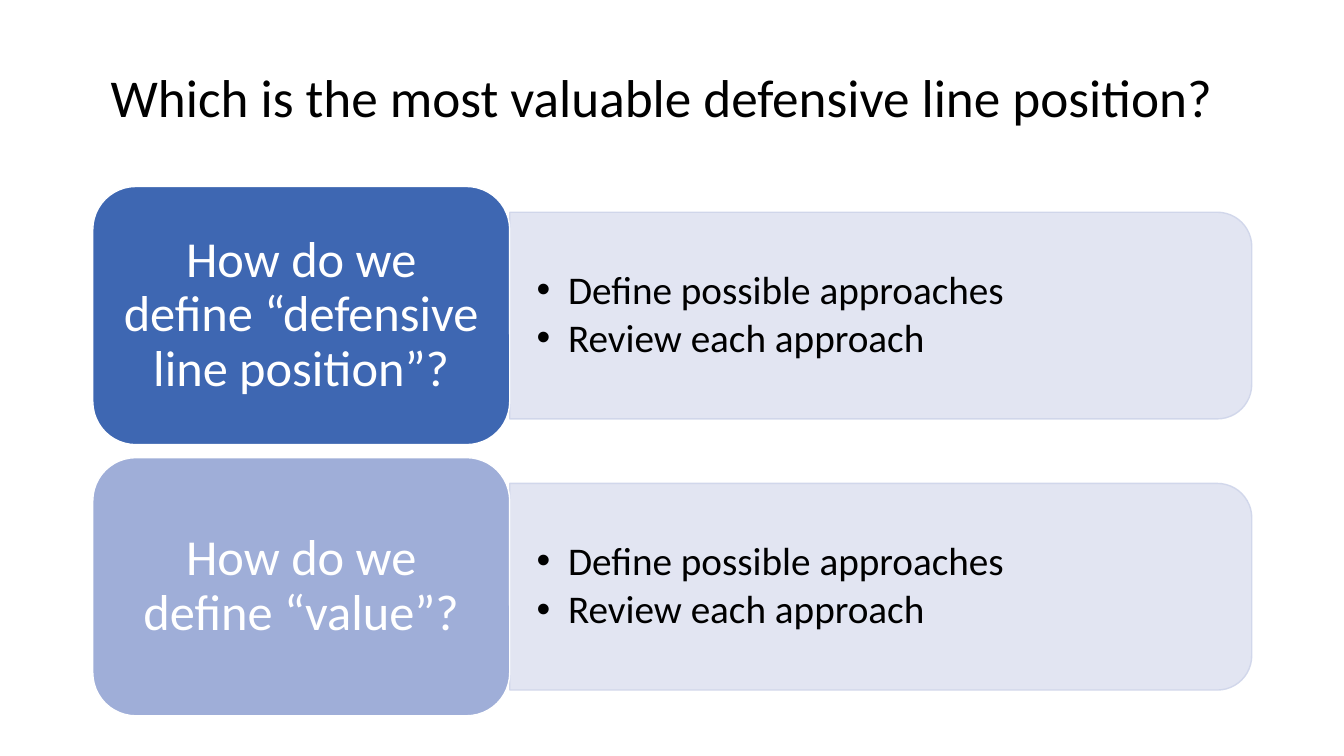
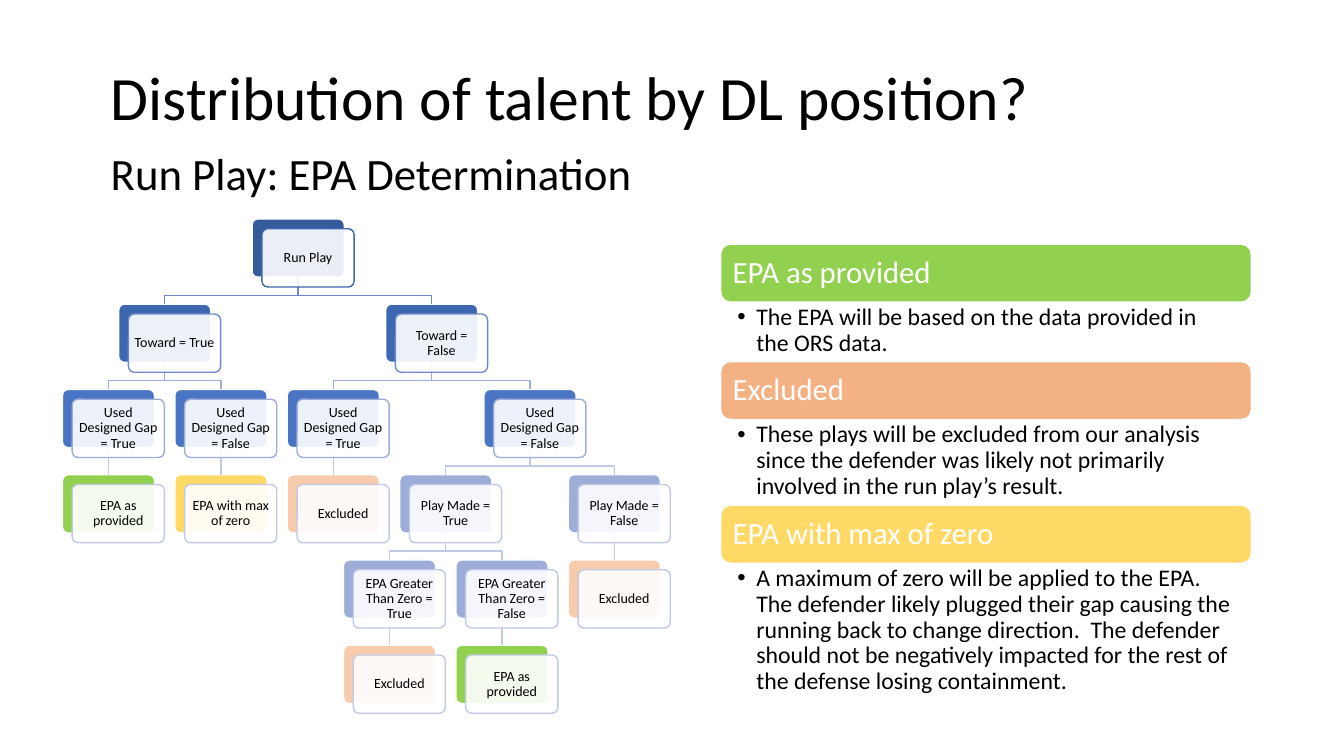
from dataclasses import dataclass
from typing import Any, Iterator, NamedTuple

from lxml import etree
from pptx import Presentation
from pptx.dml.color import RGBColor
from pptx.enum import shapes, text
from pptx.oxml import ns
from pptx.util import Pt

BLACK = RGBColor(0x00, 0x00, 0x00)
WHITE = RGBColor(0xFF, 0xFF, 0xFF)
NAVY = RGBColor(0x36, 0x5B, 0x9D)
BLUE = RGBColor(0x3E, 0x67, 0xB2)
MID_BLUE = RGBColor(0x4A, 0x75, 0xC5)
SKY = RGBColor(0x6D, 0x89, 0xCB)
PERIWINKLE = RGBColor(0x9F, 0xAE, 0xD8)
LAVENDER = RGBColor(0x9E, 0xAD, 0xD8)
MIST = RGBColor(0xC1, 0xC9, 0xE4)
PALE = RGBColor(0xCF, 0xD5, 0xEA)
GREEN = RGBColor(0x92, 0xD0, 0x50)
YELLOW = RGBColor(0xFF, 0xD9, 0x66)
PEACH = RGBColor(0xF8, 0xCB, 0xAD)
ORANGE = RGBColor(0xF4, 0xB1, 0x83)

FONT = "Calibri"
SHAPE = shapes.MSO_SHAPE
MIDDLE, TOP = text.MSO_ANCHOR.MIDDLE, text.MSO_ANCHOR.TOP
LEFT, CENTER = text.PP_ALIGN.LEFT, text.PP_ALIGN.CENTER

LEVEL_FILLS = (NAVY, BLUE, MID_BLUE, LAVENDER, LAVENDER, LAVENDER)
LEVEL_LINES = (BLUE, SKY, LAVENDER, MIST, MIST, MIST)
TREE_LEFT, TREE_TOP = 44.6, 156.4
COL_PITCH, ROW_PITCH = 80.3, 60.9
NODE_W, NODE_H = 65.8, 41.6
CARD_SHIFT = 7
ELBOW_DROP = 13


class Box(NamedTuple):
    x: float
    y: float
    w: float
    h: float

    def lengths(self) -> tuple:
        return tuple(Pt(v) for v in self)


@dataclass(frozen=True)
class TextStyle:
    size: float
    color: RGBColor = BLACK
    align: Any = LEFT
    anchor: Any = MIDDLE
    inset: tuple = (7.2, 3.6)
    spacing: float = 0.9
    after: float = 0
    indent: float = 0
    wrap: bool = True


class Question(NamedTuple):
    label: str
    fill: RGBColor


class Outcome(NamedTuple):
    label: str
    fill: RGBColor
    detail: str
    height: float


@dataclass
class Node:
    label: str
    children: tuple = ()
    leaf_col: float = 0
    fill: RGBColor | None = None
    depth: int = 0
    back: Any = None

    @property
    def col(self) -> float:
        if not self.children:
            return self.leaf_col
        return (self.children[0].col + self.children[-1].col) / 2

    @property
    def box(self) -> Box:
        return Box(TREE_LEFT + COL_PITCH * self.col,
                   TREE_TOP + ROW_PITCH * self.depth, NODE_W, NODE_H)

    def walk(self, depth: int = 0) -> Iterator["Node"]:
        self.depth = depth
        yield self
        for child in self.children:
            yield from child.walk(depth + 1)


TITLE_BOX = Box(72, 36, 828, 72)
SUBTITLE = TextStyle(32, anchor=TOP, spacing=1.0, wrap=False)
QUESTION = TextStyle(36, WHITE, CENTER, inset=(10.5, 5))
APPROACH = TextStyle(28, inset=(19.2, 9.6), after=4.2, indent=22.5)
NODE = TextStyle(10, align=CENTER, inset=(2.8, 2.8))
OUTCOME = TextStyle(22, WHITE, inset=(6.6, 6.6))
DETAIL = TextStyle(17, anchor=TOP, inset=(12, 2), indent=13.5)

QUESTIONS = (
    Question("How do we define “defensive line position”?", BLUE),
    Question("How do we define “value”?", PERIWINKLE),
)
APPROACHES = ("Define possible approaches", "Review each approach")

OUTCOMES = (
    Outcome("EPA as provided", GREEN,
            "The EPA will be based on the data provided in the ORS data.", 42.5),
    Outcome("Excluded", ORANGE,
            "These plays will be excluded from our analysis since the defender was "
            "likely not primarily involved in the run play’s result.", 61.2),
    Outcome("EPA with max of zero", YELLOW,
            "A maximum of zero will be applied to the EPA.  The defender likely "
            "plugged their gap causing the running back to change direction.  The "
            "defender should not be negatively impacted for the rest of the defense "
            "losing containment.", 101),
)


def provided(col: float) -> Node:
    return Node("EPA as provided", leaf_col=col, fill=GREEN)


def excluded(col: float) -> Node:
    return Node("Excluded", leaf_col=col, fill=PEACH)


TREE = Node("Run Play", (
    Node("Toward = True", (
        Node("Used Designed Gap = True", (provided(0),)),
        Node("Used Designed Gap = False",
             (Node("EPA with max of zero", leaf_col=1, fill=YELLOW),)),
    )),
    Node("Toward = False", (
        Node("Used Designed Gap = True", (excluded(2),)),
        Node("Used Designed Gap = False", (
            Node("Play Made = True", (
                Node("EPA Greater Than Zero = True", (excluded(2.5),)),
                Node("EPA Greater Than Zero = False", (provided(3.5),)),
            )),
            Node("Play Made = False", (excluded(4.5),)),
        )),
    )),
))


def apply(obj: Any, fmt: dict) -> None:
    for name, value in fmt.items():
        setattr(obj, name, value)


def set_alpha(fill_parent: Any, percent: int) -> None:
    color = fill_parent.find(ns.qn("a:solidFill"))[0]
    etree.SubElement(color, ns.qn("a:alpha")).set("val", str(percent * 1000))


def add_bullet(p: Any, indent: float) -> None:
    pPr = p._p.get_or_add_pPr()
    apply_attrs = {"marL": Pt(indent), "indent": -Pt(indent)}
    for name, value in apply_attrs.items():
        pPr.set(name, str(value))
    etree.SubElement(pPr, ns.qn("a:buFont")).set("typeface", "Arial")
    etree.SubElement(pPr, ns.qn("a:buChar")).set("char", "•")


def write(sp: Any, lines: tuple, style: TextStyle) -> None:
    tf = sp.text_frame
    side, edge = (Pt(v) for v in style.inset)
    apply(tf, {"word_wrap": style.wrap, "vertical_anchor": style.anchor,
               "margin_left": side, "margin_right": side,
               "margin_top": edge, "margin_bottom": edge})
    for i, line in enumerate(lines):
        p = tf.add_paragraph() if i else tf.paragraphs[0]
        if style.indent:
            add_bullet(p, style.indent)
        apply(p, {"alignment": style.align, "line_spacing": style.spacing})
        if style.after and i < len(lines) - 1:
            p.space_after = Pt(style.after)
        r = p.add_run()
        r.text = line
        apply(r.font, {"name": FONT, "size": Pt(style.size)})
        r.font.color.rgb = style.color


def add_text(s: Any, box: Box, lines: tuple, style: TextStyle) -> None:
    write(s.shapes.add_textbox(*box.lengths()), lines, style)


def add_box(s: Any, box: Box, fill: RGBColor, line: RGBColor = WHITE,
            kind: Any = SHAPE.ROUNDED_RECTANGLE, adj: float | None = None) -> Any:
    sp = s.shapes.add_shape(kind, *box.lengths())
    sp.shadow.inherit = False
    sp.fill.solid()
    sp.fill.fore_color.rgb = fill
    sp.line.color.rgb = line
    sp.line.width = Pt(1)
    if adj is not None:
        sp.adjustments[0] = adj
    return sp


def add_slide(prs: Any, title: str, size: float) -> Any:
    s = prs.slides.add_slide(prs.slide_layouts[6])
    add_text(s, TITLE_BOX, (title,), TextStyle(size))
    return s


def add_question(s: Any, question: Question, top: float) -> None:
    card = Box(66.3, top, 297.8, 184.4)
    panel = Box(card.x + card.w, top + 18.4, 530, 147.6)
    turned = Box(panel.x + (panel.w - panel.h) / 2,
                 panel.y + (panel.h - panel.w) / 2, panel.h, panel.w)
    sp = add_box(s, turned, PALE, PALE, SHAPE.ROUND_2_SAME_RECTANGLE)
    sp.rotation = 90
    spPr = sp._element.spPr
    set_alpha(spPr, 60)
    set_alpha(spPr.find(ns.qn("a:ln")), 90)
    add_text(s, panel, APPROACHES, APPROACH)
    write(add_box(s, card, question.fill), (question.label,), QUESTION)


def add_link(s: Any, parent: Node, child: Node) -> None:
    x1, x2 = (n.box.x + NODE_W / 2 for n in (parent, child))
    y1, y2 = parent.box.y + NODE_H, child.box.y
    if parent.col == child.col:
        sp = s.shapes.add_connector(shapes.MSO_CONNECTOR.STRAIGHT,
                                    Pt(x1), Pt(y1), Pt(x2), Pt(y2))
        sp.begin_connect(parent.back, 2)
        sp.end_connect(child.back, 0)
        etree.SubElement(sp._element.spPr, ns.qn("a:effectLst"))
    else:
        bend = y1 + ELBOW_DROP
        path = s.shapes.build_freeform(Pt(x1), Pt(y1))
        path.add_line_segments([(Pt(x), Pt(y)) for x, y in
                                ((x1, bend), (x2, bend), (x2, y2))], close=False)
        sp = path.convert_to_shape()
        sp.shadow.inherit = False
        sp.fill.background()
    sp.line.color.rgb = LEVEL_LINES[child.depth]
    sp.line.width = Pt(1)


def add_tree(s: Any, root: Node) -> None:
    nodes = list(root.walk())
    for node in nodes:
        node.back = add_box(s, node.box, node.fill or LEVEL_FILLS[node.depth], adj=0.1)
    for node in nodes:
        for child in node.children:
            add_link(s, node, child)
    for node in nodes:
        x, y, w, h = node.box
        card = add_box(s, Box(x + CARD_SHIFT, y + CARD_SHIFT, w, h), WHITE,
                       LEVEL_LINES[node.depth], adj=0.1)
        set_alpha(card._element.spPr, 90)
        write(card, (node.label,), NODE)


def add_outcomes(s: Any) -> None:
    left, top, width, header = 514.8, 174.4, 379, 41.4
    for outcome in OUTCOMES:
        sp = add_box(s, Box(left, top, width, header), outcome.fill)
        write(sp, (outcome.label,), OUTCOME)
        top += header
        add_text(s, Box(left, top, width, outcome.height), (outcome.detail,), DETAIL)
        top += outcome.height


def main() -> None:
    prs = Presentation()
    apply(prs, {"slide_width": Pt(960), "slide_height": Pt(540)})

    s = add_slide(prs, "Which is the most valuable defensive line position?", 38)
    for i, question in enumerate(QUESTIONS):
        add_question(s, question, 133.2 + 193.7 * i)

    s = add_slide(prs, "Distribution of talent by DL position?", 44)
    add_tree(s, TREE)
    add_outcomes(s)
    add_text(s, Box(72, 100.8, 400, 46), ("Run Play: EPA Determination",), SUBTITLE)

    prs.save("out.pptx")


if __name__ == "__main__":
    main()
